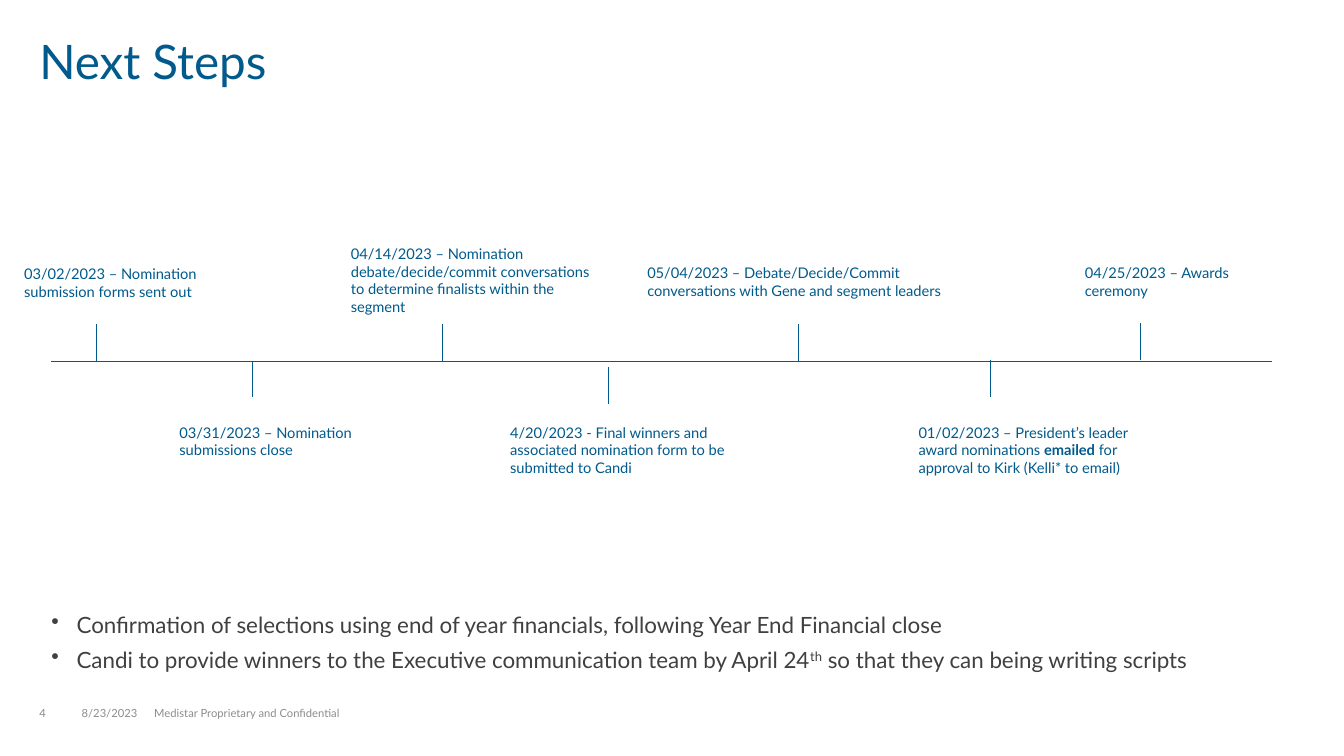
from dataclasses import dataclass

from lxml import etree
from pptx import Presentation
from pptx.dml.color import RGBColor
from pptx.enum.shapes import MSO_CONNECTOR
from pptx.enum.text import MSO_ANCHOR
from pptx.oxml.ns import qn
from pptx.util import Inches, Pt

STRAIGHT = MSO_CONNECTOR.STRAIGHT
TOP = MSO_ANCHOR.TOP
BOTTOM = MSO_ANCHOR.BOTTOM


@dataclass(frozen=True)
class Theme:
    font: str = "Lato"
    blue: RGBColor = RGBColor(0x00, 0x5A, 0x8C)
    dark: RGBColor = RGBColor(0x40, 0x40, 0x40)
    grey: RGBColor = RGBColor(0x8C, 0x8C, 0x8C)
    title_size: float = 34
    body_size: float = 16
    label_size: float = 10.5
    footer_size: float = 8
    line_width: float = 0.5


class SlideBuilder:
    def __init__(self, slide, theme):
        self.slide = slide
        self.theme = theme

    def text_box(self, left, top, width, height, anchor=TOP):
        shape = self.slide.shapes.add_textbox(
            Inches(left), Inches(top), Inches(width), Inches(height)
        )
        text_frame = shape.text_frame
        text_frame.word_wrap = True
        text_frame.vertical_anchor = anchor
        text_frame.margin_left = text_frame.margin_right = 0
        text_frame.margin_top = text_frame.margin_bottom = 0
        return text_frame

    def add_runs(self, paragraph, parts, size, color):
        for text, style in parts:
            run = paragraph.add_run()
            run.text = text
            run.font.name = self.theme.font
            run.font.size = Pt(size)
            run.font.color.rgb = color
            if style == "bold":
                run.font.bold = True
            elif style == "superscript":
                run._r.get_or_add_rPr().set("baseline", "30000")

    def title(self, text):
        paragraph = self.text_box(0.39, 0.38, 12.56, 0.4).paragraphs[0]
        paragraph.line_spacing = 0.9
        self.add_runs(paragraph, [(text, None)], self.theme.title_size, self.theme.blue)

    def footer(self, left, width, text):
        text_frame = self.text_box(left, 6.94, width, 0.2, BOTTOM)
        self.add_runs(
            text_frame.paragraphs[0], [(text, None)], self.theme.footer_size, self.theme.grey
        )

    def label(self, left, top, width, height, parts):
        text_frame = self.text_box(left, top, width, height)
        self.add_runs(text_frame.paragraphs[0], parts, self.theme.label_size, self.theme.blue)

    def bullets(self, left, top, width, height, items):
        text_frame = self.text_box(left, top, width, height)
        for index, parts in enumerate(items):
            paragraph = text_frame.add_paragraph() if index else text_frame.paragraphs[0]
            properties = paragraph._p.get_or_add_pPr()
            properties.set("marL", str(Inches(0.25)))
            properties.set("indent", str(Inches(-0.25)))
            etree.SubElement(properties, qn("a:buChar")).set("char", "•")
            paragraph.space_after = Pt(6)
            self.add_runs(paragraph, parts, self.theme.body_size, self.theme.dark)

    def line(self, start_x, start_y, end_x, end_y):
        connector = self.slide.shapes.add_connector(
            STRAIGHT, Inches(start_x), Inches(start_y), Inches(end_x), Inches(end_y)
        )
        connector.line.color.rgb = self.theme.blue
        connector.line.width = Pt(self.theme.line_width)
        etree.SubElement(connector._element.spPr, qn("a:effectLst"))


FOOTERS = [
    (0.39, 0.39, "4"),
    (0.81, 0.69, "8/23/2023"),
    (1.53, 4.5, "Medistar Proprietary and Confidential"),
]

TICKS = [
    (0.96, 3.58, 3.21),
    (2.5, 3.59, 3.94),
    (4.39, 3.59, 3.21),
    (6.03, 3.64, 4.01),
    (7.92, 3.58, 3.21),
    (9.82, 3.94, 3.57),
    (11.31, 3.57, 3.2),
]

MILESTONES = [
    (0.24, 2.63, 1.84, 0.35, [("03/02/2023 – Nomination submission forms sent out", None)]),
    (1.78, 4.2, 1.84, 0.35, [("03/31/2023 – Nomination submissions close", None)]),
    (3.48, 2.43, 2.42, 0.71, [
        ("04/14/2023 – Nomination debate/decide/commit conversations "
         "to determine finalists within the segment", None),
    ]),
    (5.06, 4.2, 2.35, 0.53, [
        ("4/20/2023 - Final winners and associated nomination form "
         "to be submitted to Candi", None),
    ]),
    (6.42, 2.62, 3.23, 0.35, [
        ("05/04/2023 – Debate/Decide/Commit conversations with Gene and segment leaders", None),
    ]),
    (9.11, 4.2, 2.08, 0.71, [
        ("01/02/2023 – President’s leader award nominations ", None),
        ("emailed", "bold"),
        (" for approval to Kirk (Kelli* to email)", None),
    ]),
    (10.76, 2.62, 2.08, 0.35, [("04/25/2023 – Awards ceremony", None)]),
]

NEXT_ACTIONS = [
    [("Confirmation of selections using end of year financials, "
      "following Year End Financial close", None)],
    [
        ("Candi to provide winners to the Executive communication team by April 24", None),
        ("th", "superscript"),
        (" so that they can being writing scripts", None),
    ],
]


def main():
    presentation = Presentation()
    presentation.slide_width = Inches(13.33)
    presentation.slide_height = Inches(7.5)
    slide = presentation.slides.add_slide(presentation.slide_layouts[6])
    builder = SlideBuilder(slide, Theme())

    builder.title("Next Steps")
    builder.line(0.51, 3.59, 12.62, 3.59)
    for x, start_y, end_y in TICKS:
        builder.line(x, start_y, x, end_y)
    for milestone in MILESTONES:
        builder.label(*milestone)
    builder.bullets(0.51, 6.06, 12.56, 0.69, NEXT_ACTIONS)
    for footer in FOOTERS:
        builder.footer(*footer)

    presentation.save("out.pptx")


if __name__ == "__main__":
    main()
